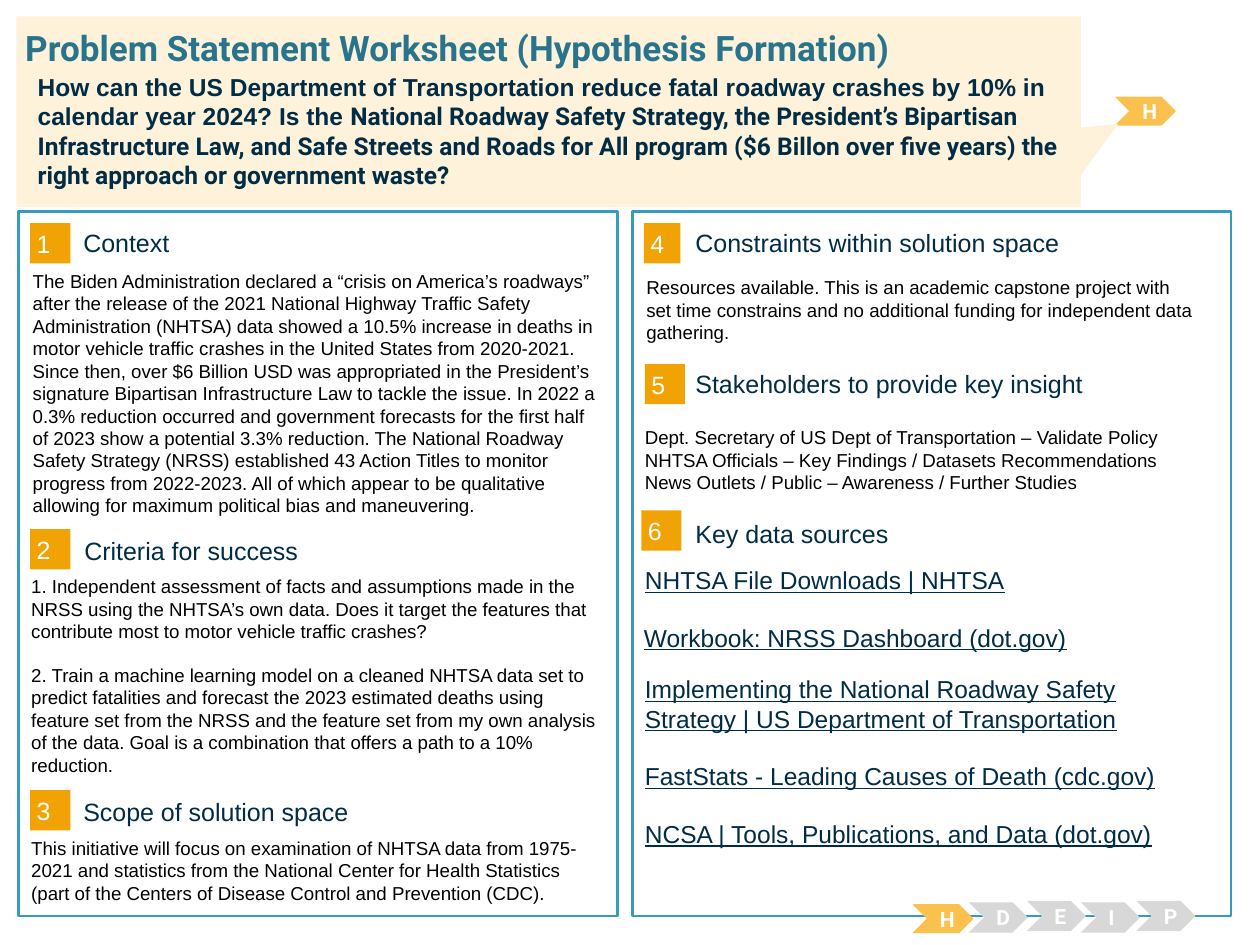
import pptx
import pptx.dml.color
import pptx.enum.shapes
import pptx.enum.text
import pptx.util
from pptx.util import Cm

COLORS = {
    "white": "FFFFFF", "black": "000000", "navy": "002C46", "teal": "29748D",
    "frame": "379BBD", "orange": "F1A205", "amber": "FBC14E", "gray": "D8D8D8",
    "cream": "FEF2DA",
}
SHAPES = pptx.enum.shapes.MSO_SHAPE
MIDDLE = pptx.enum.text.MSO_ANCHOR.MIDDLE
CENTER = pptx.enum.text.PP_ALIGN.CENTER
INSETS = (0.25, 0.13)
HEADING_SIZE = 14.3
BODY_SIZE = 10.7
LINK_SIZE = 14

# number, badge left, top and width, heading left and top, heading
SECTIONS = [
    ("1", 0.61, 4.5, 0.81, 1.68, 4.57, "Context"),
    ("2", 0.61, 10.67, 0.81, 1.7, 10.77, "Criteria for success"),
    ("3", 0.61, 15.93, 0.81, 1.68, 16.03, "Scope of solution space"),
    ("4", 12.98, 4.5, 0.74, 14.02, 4.57, "Constraints within solution space"),
    ("5", 13.0, 7.34, 0.81, 14.02, 7.42, "Stakeholders to provide key insight"),
    ("6", 12.93, 10.29, 0.81, 14.02, 10.44, "Key data sources"),
]

# left, top, width, height, gap between paragraphs in points, paragraphs
BODIES = [
    (0.41, 5.31, 12.01, 3.45, 0, [
        "The Biden Administration declared a “crisis on America’s roadways” after the release of "
        "the 2021 National Highway Traffic Safety Administration (NHTSA) data showed a 10.5% "
        "increase in deaths in motor vehicle traffic crashes in the United States from 2020-2021. "
        "Since then, over $6 Billion USD was appropriated in the President’s signature Bipartisan "
        "Infrastructure Law to tackle the issue. In 2022 a 0.3% reduction occurred and government "
        "forecasts for the first half of 2023 show a potential 3.3% reduction. The National Roadway "
        "Safety Strategy (NRSS) established 43 Action Titles to monitor progress from 2022-2023. "
        "All of which appear to be qualitative allowing for maximum political bias and maneuvering."]),
    (0.38, 11.46, 12.01, 3.45, 12.3, [
        "1. Independent assessment of facts and assumptions made in the NRSS using the NHTSA’s own "
        "data. Does it target the features that contribute most to motor vehicle traffic crashes?",
        "2. Train a machine learning model on a cleaned NHTSA data set to predict fatalities and "
        "forecast the 2023 estimated deaths using feature set from the NRSS and the feature set "
        "from my own analysis of the data. Goal is a combination that offers a path to a 10% "
        "reduction."]),
    (0.38, 16.74, 12.01, 1.7, 0, [
        "This initiative will focus on examination of NHTSA data from 1975-2021 and statistics from "
        "the National Center for Health Statistics (part of the Centers of Disease Control and "
        "Prevention (CDC)."]),
    (12.78, 5.44, 11.53, 1.7, 0, [
        "Resources available. This is an academic capstone project with set time constrains and no "
        "additional funding for independent data gathering."]),
    (12.75, 8.46, 12.01, 0.97, 0, [
        "Dept. Secretary of US Dept of Transportation – Validate Policy",
        "NHTSA Officials – Key Findings / Datasets Recommendations",
        "News Outlets / Public – Awareness / Further Studies"]),
]

# left, top, width, height, paragraphs
SOURCES = [
    (12.75, 11.27, 11.81, 0.85, ["NHTSA File Downloads | NHTSA"]),
    (12.73, 12.42, 11.28, 0.85, ["Workbook: NRSS Dashboard (dot.gov)"]),
    (12.75, 13.46, 11.81, 5.05, [
        "Implementing the National Roadway Safety Strategy | US Department of Transportation",
        "FastStats - Leading Causes of Death (cdc.gov)",
        "NCSA | Tools, Publications, and Data (dot.gov)"]),
]

# letter, left, top, height, fill
STEPS = [
    ("H", 18.42, 18.24, 0.56, "amber"),
    ("D", 19.53, 18.19, 0.61, "gray"),
    ("E", 20.7, 18.16, 0.61, "gray"),
    ("I", 21.79, 18.19, 0.61, "gray"),
    ("P", 22.91, 18.16, 0.61, "gray"),
    ("H", 22.5, 1.96, 0.56, "amber"),
]


def rgb(name):
    return pptx.dml.color.RGBColor.from_string(COLORS[name])


def prepare_frame(shape, insets):
    frame = shape.text_frame
    frame.word_wrap = True
    frame.margin_left = frame.margin_right = Cm(insets[0])
    frame.margin_top = frame.margin_bottom = Cm(insets[1])
    return frame


def add_run(paragraph, text, size, color, font="Arial", bold=False, underline=False):
    run = paragraph.add_run()
    run.text = text
    run.font.size = pptx.util.Pt(size)
    run.font.name = font
    run.font.bold = bold
    run.font.underline = underline
    run.font.color.rgb = rgb(color)


def add_filled_shape(slide, kind, left, top, width, height, fill, line=None, line_width=0.75):
    shape = slide.shapes.add_shape(kind, Cm(left), Cm(top), Cm(width), Cm(height))
    shape.shadow.inherit = False
    shape.fill.solid()
    shape.fill.fore_color.rgb = rgb(fill)
    if line:
        shape.line.color.rgb = rgb(line)
        shape.line.width = pptx.util.Pt(line_width)
    else:
        shape.line.fill.background()
    return shape


def add_text_box(slide, left, top, width, height, insets=INSETS):
    """Add a wrapping text box and return its text frame."""
    box = slide.shapes.add_textbox(Cm(left), Cm(top), Cm(width), Cm(height))
    return prepare_frame(box, insets)


def add_paragraphs(frame, texts, gap, size, color, underline=False):
    """Fill a frame with paragraphs that stand gap points apart."""
    for index, text in enumerate(texts):
        paragraph = frame.add_paragraph() if index else frame.paragraphs[0]
        if index:
            paragraph.space_before = pptx.util.Pt(gap)
        add_run(paragraph, text, size, color, underline=underline)


def add_section_heading(slide, number, left, top, width, heading_left, heading_top, heading):
    badge = add_filled_shape(slide, SHAPES.RECTANGLE, left, top, width, 0.81, "orange")
    badge_frame = prepare_frame(badge, (0.13, 0.13))
    heading_frame = add_text_box(slide, heading_left, heading_top, 9.98, 0.64, (0, 0))
    for frame, text, color in ((badge_frame, number, "white"), (heading_frame, heading, "navy")):
        frame.vertical_anchor = MIDDLE
        frame.paragraphs[0].alignment = pptx.enum.text.PP_ALIGN.LEFT
        add_run(frame.paragraphs[0], text, HEADING_SIZE, color)


def add_step(slide, letter, left, top, height, fill):
    line = "amber" if fill == "amber" else None
    chevron = add_filled_shape(slide, SHAPES.CHEVRON, left, top, 1.19, height, fill, line)
    frame = prepare_frame(chevron, INSETS)
    frame.vertical_anchor = MIDDLE
    frame.paragraphs[0].alignment = CENTER
    add_run(frame.paragraphs[0], letter, 12, "white", "Roboto", bold=True)


def add_header(slide):
    callout = add_filled_shape(slide, SHAPES.RECTANGULAR_CALLOUT, 0.33, 0.33, 21.46, 3.84, "cream")
    callout.adjustments[0] = 0.535
    callout.adjustments[1] = 0.066
    title = add_text_box(slide, 0.51, 0.53, 24.43, 0.86, (0, 0)).paragraphs[0]
    add_run(title, "Problem Statement Worksheet (Hypothesis Formation)", 20, "teal", "Roboto", bold=True)
    question = add_text_box(slide, 0.51, 1.32, 21.29, 1.37).paragraphs[0]
    add_run(question, "How can the US Department of Transportation reduce fatal roadway crashes by 10% "
            "in calendar year 2024? Is the ", 14, "navy", bold=True)
    add_run(question, "National Roadway Safety Strategy, the President’s Bipartisan Infrastructure Law, "
            "and Safe Streets and Roads for All program ($6 Billon over five years) the right approach "
            "or government waste?", 14, "navy", "Roboto", bold=True)


def main():
    presentation = pptx.Presentation()
    presentation.slide_width = Cm(25.4)
    presentation.slide_height = Cm(19.05)
    slide = presentation.slides.add_slide(presentation.slide_layouts[6])
    for left in (0.38, 12.75):
        add_filled_shape(slide, SHAPES.RECTANGLE, left, 4.27, 12.07, 14.2, "white", "frame", 1.5)
    for section in SECTIONS:
        add_section_heading(slide, *section)
    for left, top, width, height, gap, texts in BODIES:
        frame = add_text_box(slide, left, top, width, height)
        add_paragraphs(frame, texts, gap, BODY_SIZE, "black")
    for left, top, width, height, texts in SOURCES:
        frame = add_text_box(slide, left, top, width, height)
        add_paragraphs(frame, texts, 16.1, LINK_SIZE, "navy", underline=True)
    for step in STEPS:
        add_step(slide, *step)
    add_header(slide)
    presentation.save("out.pptx")


if __name__ == "__main__":
    main()
